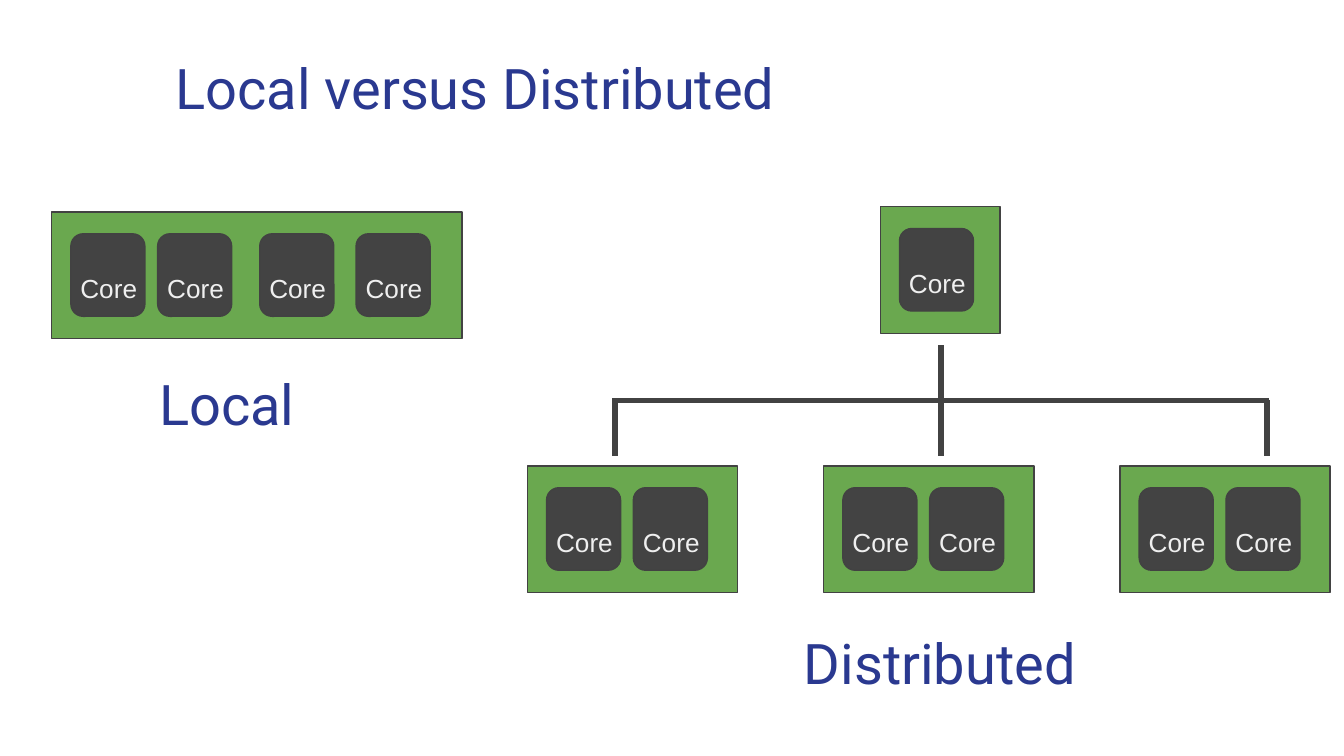
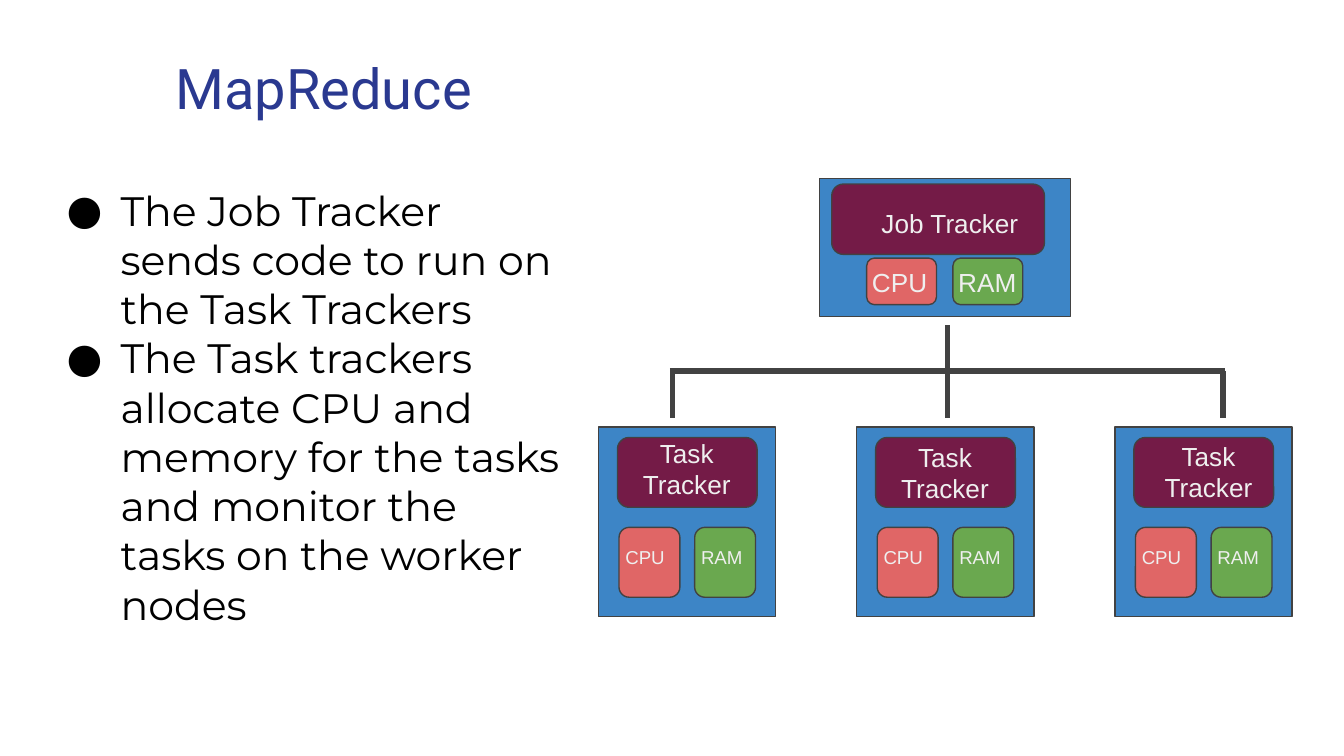
from dataclasses import dataclass

from lxml import etree
from pptx import Presentation
from pptx import util as u
from pptx.dml.color import RGBColor
from pptx.enum import shapes, text
from pptx.oxml.ns import qn


@dataclass(frozen=True)
class Theme:
    title: str = "2A3990"
    body: str = "000000"
    label: str = "EFEFEF"
    line: str = "424242"
    core: str = "434343"
    green: str = "6AA84F"
    blue: str = "3D85C6"
    purple: str = "741B47"
    red: str = "E06666"
    title_font: str = "Roboto"
    body_font: str = "Montserrat"
    label_font: str = "Arial"
    title_pt: int = 30
    body_pt: int = 22
    label_pt: int = 14
    small_pt: int = 10


T = Theme()
HEADING = dict(font=T.title_font, size=T.title_pt, color=T.title)
RECT = shapes.MSO_SHAPE.RECTANGLE
ROUND = shapes.MSO_SHAPE.ROUNDED_RECTANGLE


def write(s, words, at, font=T.label_font, size=T.label_pt, color=T.label,
          center=False, bullet=None):
    """Add a text box at (left, top, width, height) cm, one paragraph per line of words."""
    tf = s.shapes.add_textbox(*map(u.Cm, at)).text_frame
    tf.word_wrap = True
    tf.margin_left = tf.margin_right = tf.margin_top = tf.margin_bottom = u.Cm(0.25)
    for i, line in enumerate(words.split("\n")):
        p = tf.add_paragraph() if i else tf.paragraphs[0]
        p.alignment = text.PP_ALIGN.CENTER if center else text.PP_ALIGN.LEFT
        r = p.add_run()
        r.text = line
        r.font.name, r.font.size = font, u.Pt(size)
        r.font.color.rgb = RGBColor.from_string(color)
        if bullet:
            pPr = p._p.get_or_add_pPr()
            pPr.set("marL", str(u.Cm(1.27)))
            pPr.set("indent", str(u.Cm(-1.02)))
            clr = etree.SubElement(pPr, qn("a:buClr"))
            etree.SubElement(clr, qn("a:srgbClr"), val=color)
            etree.SubElement(pPr, qn("a:buFont"), typeface=font)
            etree.SubElement(pPr, qn("a:buChar"), char=bullet)


def block(s, kind, at, fill):
    """Add a filled, thinly outlined shape at (left, top, width, height) cm."""
    sp = s.shapes.add_shape(kind, *map(u.Cm, at))
    sp.shadow.inherit = False
    sp.fill.solid()
    sp.fill.fore_color.rgb = RGBColor.from_string(fill)
    sp.line.color.rgb = RGBColor.from_string(T.line)
    sp.line.width = u.Pt(0.75)


prs = Presentation()
prs.slide_width, prs.slide_height = u.Cm(25.4), u.Cm(14.29)

# Titles and the tree of lines on each slide
slides = []
for title, trunk, spread, top, bus, bottom in [
    ("Local versus Distributed", 17.78, 6.16, 6.53, 7.57, 8.61),
    ("MapReduce", 17.91, 5.2, 6.15, 7.01, 7.9),
]:
    s = prs.slides.add_slide(prs.slide_layouts[6])
    slides.append(s)
    write(s, title, (3.07, 0.76, 23.67, 1.68), **HEADING)
    left, right, overhang = trunk - spread, trunk + spread, 0.05
    lines = [(trunk, top, trunk, bus), (left - overhang, bus, right + overhang, bus)]
    lines += [(x, bus, x, bottom) for x in (left, trunk, right)]
    for ends in lines:
        c = s.shapes.add_connector(shapes.MSO_CONNECTOR.STRAIGHT, *map(u.Cm, ends))
        c.line.color.rgb = RGBColor.from_string(T.line)
        c.line.width = u.Pt(3)
        etree.SubElement(c._element.spPr, qn("a:effectLst"))

# Slide 1: machines and their cores
s = slides[0]
write(s, "Local ", (2.44, 6.73, 3.96, 1.68), center=True, **HEADING)
write(s, "Distributed", (14.55, 11.63, 6.43, 1.68), center=True, **HEADING)
core_offsets = (0.36, 2, 3.93, 5.75)
machines = [(0.98, 4.01, 7.75, 4), (16.64, 3.91, 2.26, 1)]
machines += [(9.97 + 5.6 * i, 8.81, 3.97, 2) for i in range(3)]
for x, y, width, cores in machines:
    block(s, RECT, (x, y, width, 2.39), T.green)
    for dx in core_offsets[:cores]:
        block(s, ROUND, (x + dx, y + 0.41, 1.4, 1.56), T.core)
        write(s, "Core", (x + dx - 0.07, y + 0.89, 1.96, 0.58))

# Slide 2: job tracker above three task trackers
s = slides[1]
write(s, "The Job Tracker sends code to run on the Task Trackers\n"
         "The Task trackers allocate CPU and memory for the tasks and monitor "
         "the tasks on the worker nodes",
      (0.76, 3.25, 10.21, 9.02), font=T.body_font, size=T.body_pt, color=T.body, bullet="●")
resources = [("CPU", T.red), ("RAM", T.green)]

block(s, RECT, (15.49, 3.38, 4.74, 2.6), T.blue)
block(s, ROUND, (15.72, 3.48, 4.02, 1.33), T.purple)
write(s, "Job Tracker", (16.41, 3.68, 3.56, 0.5))
for i, (name, fill) in enumerate(resources):
    x = 16.38 + 1.63 * i
    block(s, ROUND, (x, 4.88, 1.32, 0.88), fill)
    write(s, name, (x - 0.15, 4.96, 1.7, 0.33))

node_y = 8.07
for n, (label_dx, label_dy) in enumerate([(0.03, -0.05), (0.03, 0.02), (0.13, 0)]):
    node_x = 11.31 + 4.88 * n
    block(s, RECT, (node_x, node_y, 3.35, 3.59), T.blue)
    block(s, ROUND, (node_x + 0.36, node_y + 0.2, 2.64, 1.32), T.purple)
    write(s, "Task Tracker", (node_x + label_dx, node_y + label_dy, 3.28, 0.5), center=True)
    for i, (name, fill) in enumerate(resources):
        x, y = node_x + 0.39 + 1.43 * i, node_y + 1.9
        block(s, ROUND, (x, y, 1.15, 1.32), fill)
        write(s, name, (x - 0.13, y + 0.13, 1.42, 0.5), size=T.small_pt)

prs.save("out.pptx")
